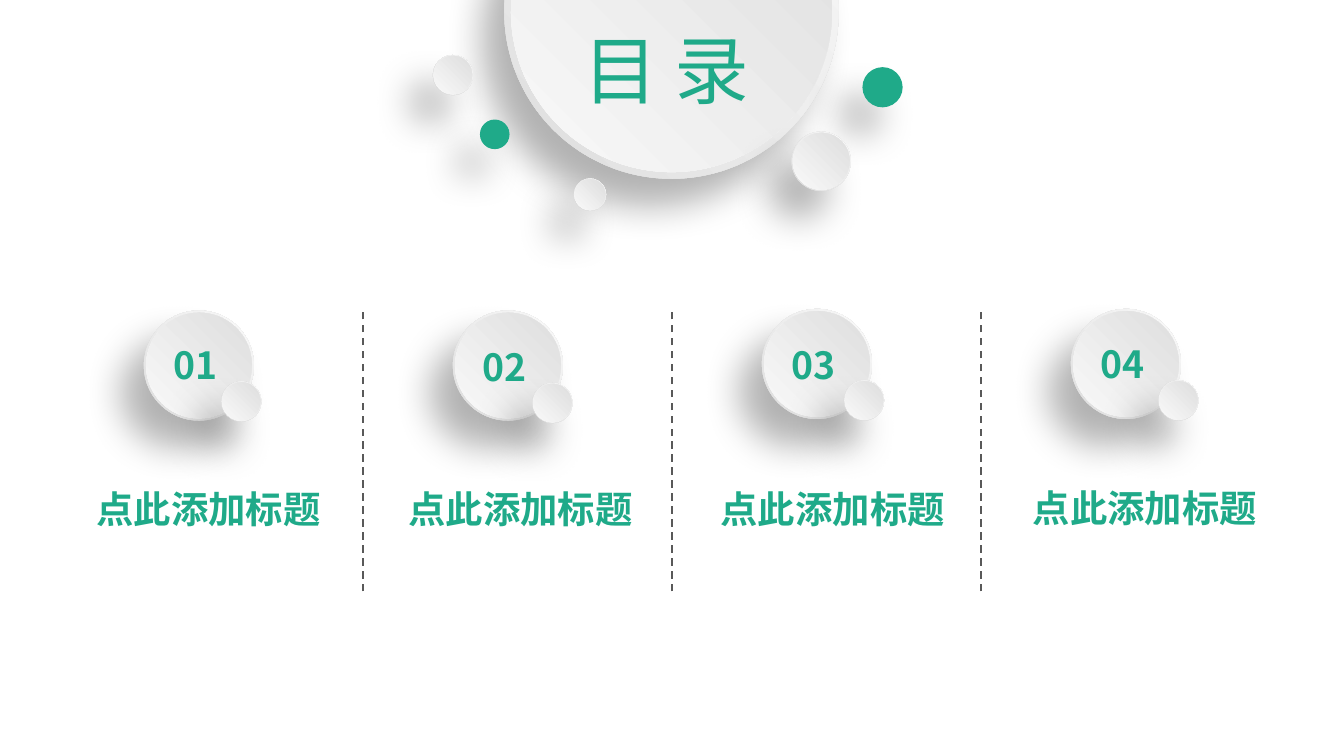
"""Build a contents slide with four numbered sections under a round heading."""
from lxml import etree
from pptx import Presentation, util as u
from pptx.dml.color import RGBColor
from pptx.enum import dml, shapes, text
from pptx.oxml import ns

GREEN = RGBColor(0x1F, 0xAA, 0x89)
WHITE = RGBColor(0xFF, 0xFF, 0xFF)
OFF_WHITE = RGBColor(0xFE, 0xFE, 0xFE)
SILVER = RGBColor(0xD9, 0xD9, 0xD9)
GRAY = RGBColor(0x59, 0x59, 0x59)


class Painter:
    font = "Noto Sans CJK SC"
    tilt = 29.5
    inner_ratio = 0.96

    def __init__(self, slide):
        self.slide = slide

    def disc(self, x, y, size, colors):
        disc = self.slide.shapes.add_shape(
            shapes.MSO_SHAPE.OVAL,
            u.Cm(x - size / 2), u.Cm(y - size / 2), u.Cm(size), u.Cm(size))
        disc.rotation = self.tilt
        disc.line.fill.background()
        disc.shadow.inherit = False
        if len(colors) == 1:
            disc.fill.solid()
            disc.fill.fore_color.rgb = colors[0]
        else:
            self.radial_fill(disc, colors)
        return disc

    def radial_fill(self, disc, colors):
        disc.fill.gradient()
        for stop, color, position in zip(disc.fill.gradient_stops, colors, (0, 1)):
            stop.color.rgb = color
            stop.position = position
        gradient = disc.element.spPr.find(ns.qn("a:gradFill"))
        gradient.remove(gradient.find(ns.qn("a:lin")))
        path = etree.SubElement(gradient, ns.qn("a:path"))
        path.set("path", "circle")
        etree.SubElement(path, ns.qn("a:fillToRect"), l="100000", b="100000")

    def cast_shadow(self, disc):
        effects = disc.element.spPr.find(ns.qn("a:effectLst"))
        shadow = etree.SubElement(
            effects, ns.qn("a:outerShdw"), blurRad=str(u.Pt(20)), dist=str(u.Pt(19)),
            dir=str(130 * 60000), algn="ctr", rotWithShape="0")
        color = etree.SubElement(shadow, ns.qn("a:srgbClr"), val="000000")
        etree.SubElement(color, ns.qn("a:alpha"), val="30000")

    def button(self, x, y, size, green=False):
        rim, face = ([GREEN], [GREEN]) if green else ([WHITE, SILVER], [SILVER, OFF_WHITE])
        self.cast_shadow(self.disc(x, y, size, rim))
        self.disc(x, y, size * self.inner_ratio, face)

    def label(self, words, left, top, width, height, size=20, bold=True):
        box = self.slide.shapes.add_textbox(u.Cm(left), u.Cm(top), u.Cm(width), u.Cm(height))
        frame = box.text_frame
        frame.word_wrap = True
        frame.auto_size = text.MSO_AUTO_SIZE.SHAPE_TO_FIT_TEXT
        para = frame.paragraphs[0]
        para.text = words
        para.font.size = u.Pt(size)
        para.font.bold = bold
        para.font.name = self.font
        para.font.color.rgb = GREEN
        defaults = para._p.pPr.find(ns.qn("a:defRPr"))
        etree.SubElement(defaults, ns.qn("a:ea"), typeface=self.font)

    def divider(self, x, top, bottom):
        line = self.slide.shapes.add_connector(
            shapes.MSO_CONNECTOR.STRAIGHT, u.Cm(x), u.Cm(bottom), u.Cm(x), u.Cm(top))
        line.line.color.rgb = GRAY
        line.line.width = u.Pt(1)
        line.line.dash_style = dml.MSO_LINE.DASH
        etree.SubElement(line.element.spPr, ns.qn("a:effectLst"))


def main():
    deck = Presentation()
    deck.slide_width, deck.slide_height = u.Cm(25.4), u.Cm(14.29)
    painter = Painter(deck.slides.add_slide(deck.slide_layouts[6]))

    ornaments = [
        (12.69, 0.22, 6.32, False),
        (8.56, 1.42, 0.76, False),
        (16.68, 1.65, 0.76, True),
        (11.15, 3.68, 0.61, False),
        (15.52, 3.05, 1.12, False),
        (9.35, 2.54, 0.56, True),
    ]
    for ornament in ornaments:
        painter.button(*ornament)
    painter.label("目 录", 10.77, 0.33, 3.96, 1.96, size=40, bold=False)

    pitch = 5.84
    sections = [
        ("01", 6.91, 6.35, 4.56, 7.59, 9.07),
        ("02", 6.91, 6.38, 10.44, 7.62, 9.07),
        ("03", 6.88, 6.35, 16.33, 7.57, 9.07),
        ("04", 6.88, 6.32, 22.27, 7.57, 9.04),
    ]
    for index, (number, badge_y, number_top, dot_x, dot_y, title_top) in enumerate(sections):
        badge_x = 3.76 + index * pitch
        painter.button(badge_x, badge_y, 2.08)
        painter.label(number, badge_x - 0.73, number_top, 1.47, 1.12)
        painter.button(dot_x, dot_y, 0.76)
        painter.label("点此添加标题", 1.57 + index * 5.9, title_top, 5.51, 1.12)

    for index in range(len(sections) - 1):
        painter.divider(6.86 + index * pitch, 5.82, 11.18)

    deck.save("out.pptx")


if __name__ == "__main__":
    main()
